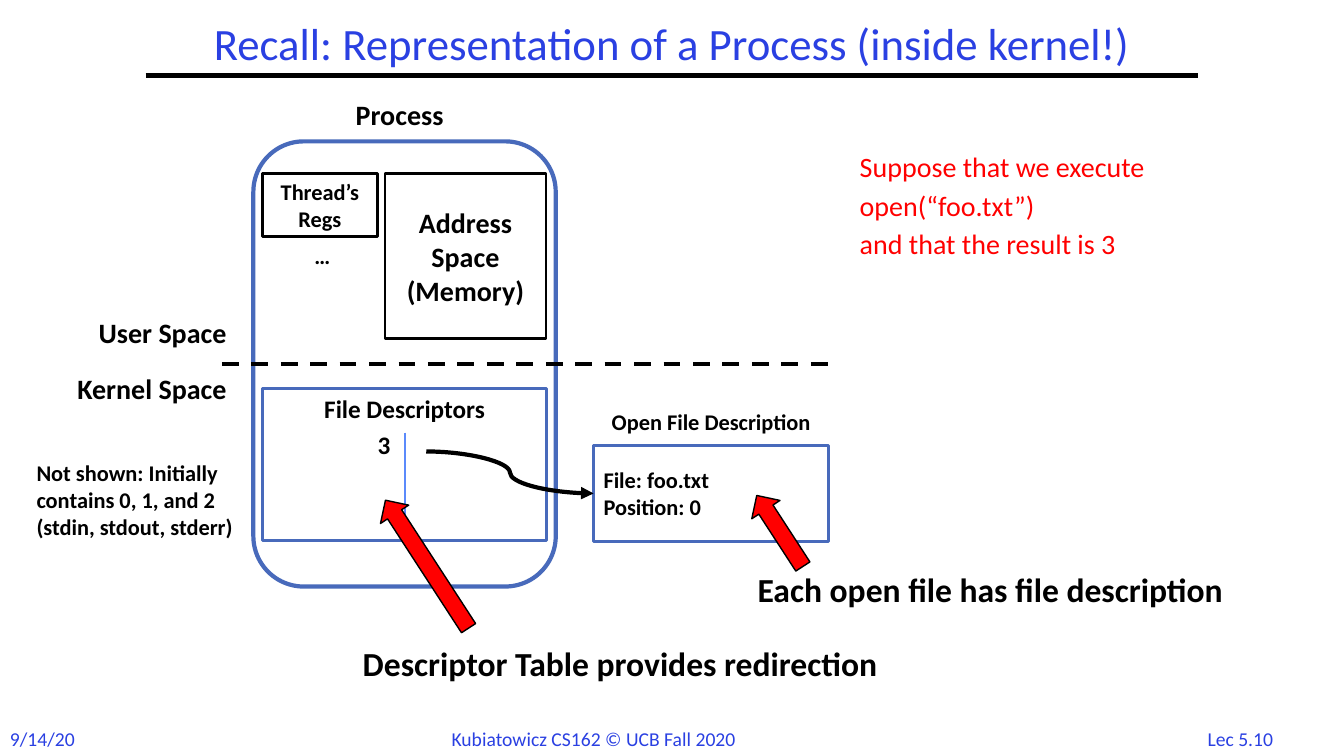
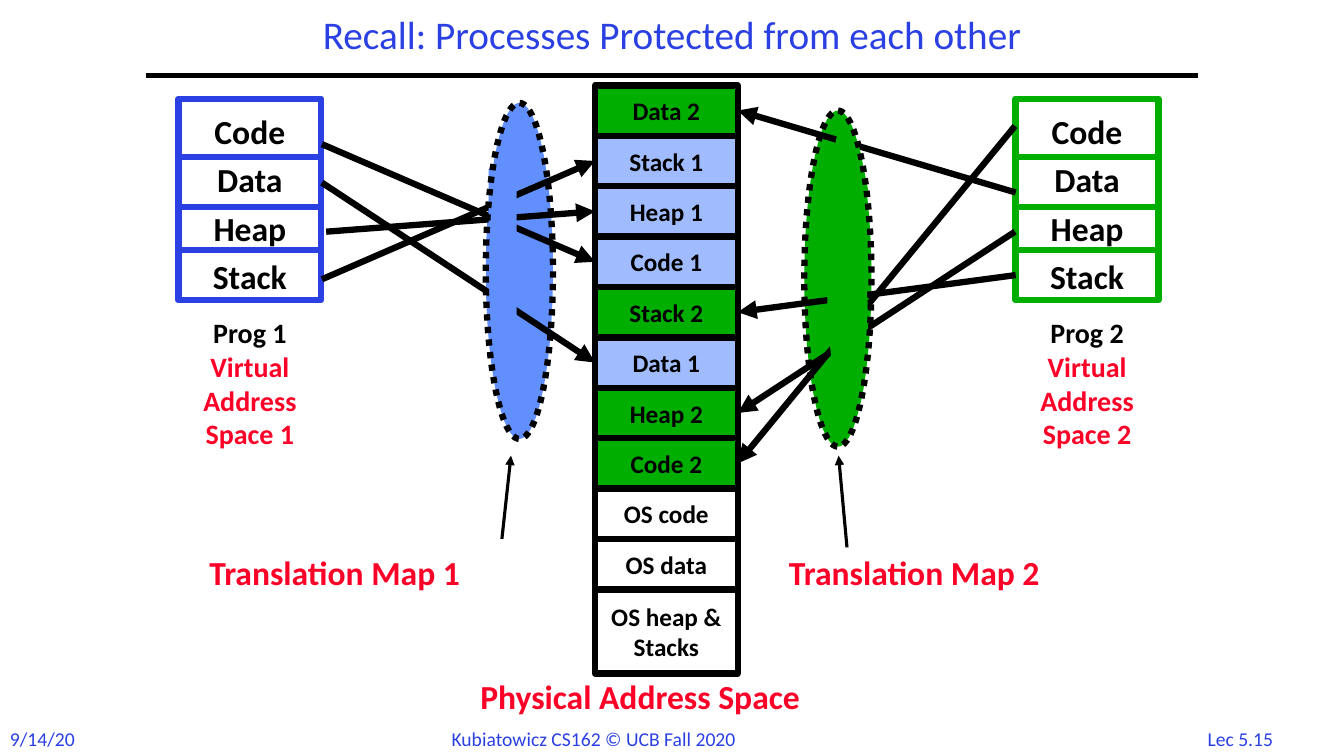
from pptx import Presentation
from pptx.dml.color import RGBColor
from pptx.enum.dml import MSO_LINE
from pptx.enum.shapes import MSO_CONNECTOR, MSO_SHAPE
from pptx.enum.text import MSO_ANCHOR, MSO_AUTO_SIZE, PP_ALIGN
from pptx.oxml.ns import qn
from pptx.util import Pt
from lxml import etree

FONT = "Calibri"
HUES = {
    "black": "000000", "white": "FFFFFF", "title": "2A40E2", "edge": "486ABB",
    "rule": "5B8AFB", "red": "FF0000", "label": "FC0128", "green": "00AE00",
    "blue": "618FFD", "pale": "A0BCFE",
}
SIDES = {"l": PP_ALIGN.LEFT, "c": PP_ALIGN.CENTER, "r": PP_ALIGN.RIGHT}


def rgb(name):
    return RGBColor.from_string(HUES[name])


def points(box):
    return [Pt(v) for v in box]


def shift(box, x, y):
    """Move a relative box to the corner x, y."""
    return (x + box[0], y + box[1], *box[2:])


# Shared building parts
def write(frame, lines, size=20, ink="black", rest=None, bold=True, side="c",
          space=None, gap=0, mid=False, wrap=True):
    """Fill a text frame; lines after the first may use the ink named by rest."""
    frame.word_wrap = wrap
    if not wrap:
        frame.auto_size = MSO_AUTO_SIZE.SHAPE_TO_FIT_TEXT
    frame.vertical_anchor = MSO_ANCHOR.MIDDLE if mid else MSO_ANCHOR.TOP
    for i, line in enumerate(lines.split("\n")):
        para = frame.paragraphs[0] if i == 0 else frame.add_paragraph()
        para.alignment = SIDES[side]
        if space:
            para.line_spacing = space
        if gap and i:
            para.space_before = Pt(gap)
        run = para.add_run()
        run.text = line
        font = run.font
        font.name, font.size, font.bold = FONT, Pt(size), bold
        font.color.rgb = rgb(rest if rest and i else ink)


def label(slide, box, lines, wrap=False, **style):
    frame = slide.shapes.add_textbox(*points(box)).text_frame
    write(frame, lines, wrap=wrap, **style)


def block(slide, kind, box, fill=None, line=None, width=2, dash=None, turn=0):
    shape = slide.shapes.add_shape(kind, *points(box))
    shape.shadow.inherit = False
    shape.rotation = turn
    if fill:
        shape.fill.solid()
        shape.fill.fore_color.rgb = rgb(fill)
    else:
        shape.fill.background()
    if line:
        shape.line.color.rgb = rgb(line)
        shape.line.width = Pt(width)
        if dash:
            shape.line.dash_style = dash
    else:
        shape.line.fill.background()
    return shape


def panel(slide, box, lines, fill="white", line="black", width=2, **style):
    shape = block(slide, MSO_SHAPE.RECTANGLE, box, fill, line, width)
    write(shape.text_frame, lines, **style)
    return shape


def wire(slide, start, end, hue="black", width=3, dash=None, arrow=False,
         kind=MSO_CONNECTOR.STRAIGHT):
    link = slide.shapes.add_connector(kind, *points(start + end))
    link.line.color.rgb = rgb(hue)
    link.line.width = Pt(width)
    if dash:
        link.line.dash_style = dash
    props = link._element.spPr
    if arrow:
        etree.SubElement(props.find(qn("a:ln")), qn("a:tailEnd"), type="triangle")
    etree.SubElement(props, qn("a:effectLst"))
    return link


def base(deck, title, box, size, space, page):
    """Add a slide with its title, rule and footer."""
    slide = deck.slides.add_slide(deck.slide_layouts[6])
    label(slide, box, title, wrap=True, size=size, ink="title", bold=False,
          space=space, mid=True)
    wire(slide, (104, 54), (856, 54))
    for spot, words, side in (
        ((0, 515.5, 61, 24.5), "9/14/20", "l"),
        ((315.5, 515.5, 247, 24.5), "Kubiatowicz CS162 © UCB Fall 2020", "l"),
        ((851, 515.5, 70, 24), f"Lec 5.{page}", "c"),
    ):
        label(slide, spot, words, size=14, ink="title", bold=False, side=side)
    return slide


# Regions of the process slide
def process(slide, box):
    x, y, _, _ = box
    block(slide, MSO_SHAPE.ROUNDED_RECTANGLE, box, line="edge", width=3)
    label(slide, shift((58, -35, 93, 32), x, y), "Process")
    panel(slide, shift((94, 23, 115, 118), x, y), "Address Space (Memory)", mid=True)
    panel(slide, shift((6.5, 23, 82, 45), x, y), "Thread’s Regs", size=16, mid=True)
    label(slide, shift((36.5, 68.5, 31, 27), x, y), "…", size=16, side="l")
    # Descriptor table
    panel(slide, shift((6.5, 176.5, 203, 108.5), x, y), "File Descriptors",
          line="edge", size=18)
    wire(slide, (x + 108, y + 208), (x + 108, y + 278.5), hue="rule", width=1.5)
    label(slide, shift((80.5, 202, 24.5, 29), x, y), "3", size=18, side="r")


def spaces(slide, box):
    """Draw the user and kernel border with a name above and below."""
    x, y, w, _ = box
    wire(slide, (x, y), (x + w, y), dash=MSO_LINE.DASH)
    label(slide, shift((-113.5, -38, 124, 32), x, y), "User Space", side="r")
    label(slide, shift((-131.5, 1.5, 142, 32), x, y), "Kernel Space", side="r")


def record(slide, box):
    x, y, w, _ = box
    panel(slide, box, "File: foo.txt\nPosition: 0", line="edge", size=16,
          side="l", mid=True)
    label(slide, (x - 7, y - 30, w + 14, 27), "Open File Description", size=16)


def remark(slide, box, words, arrow):
    label(slide, box, words, size=24, side="l")
    block(slide, MSO_SHAPE.DOWN_ARROW, arrow, "red", "black", 1, turn=147)


def recall(deck):
    slide = base(deck, "Recall: Representation of a Process (inside kernel!)",
                 (104, 12, 752, 42), 32, 0.9, 10)
    label(slide, (607, 106, 286.5, 343),
          "Suppose that we execute\nopen(“foo.txt”)\nand that the result is 3",
          wrap=True, ink="red", bold=False, side="l", space=0.9, gap=6)
    process(slide, (181, 101, 216, 318))
    spaces(slide, (158.5, 260, 433.5, 0))
    label(slide, (19, 324.5, 159, 85),
          "Not shown: Initially contains 0, 1, and 2 (stdin, stdout, stderr)",
          wrap=True, size=16, side="l")
    record(slide, (424, 318, 168, 69))
    wire(slide, (304.5, 322.5), (424, 352.5), arrow=True, kind=MSO_CONNECTOR.CURVE)
    remark(slide, (252, 456, 443, 36), "Descriptor Table provides redirection",
           (293, 348.5, 24, 109))
    remark(slide, (534, 403, 406, 36), "Each open file has file description",
           (545, 349, 24, 60.5))


# Regions of the protection slide
def program(slide, box, num, hue):
    x, y, w, _ = box
    panel(slide, box, "Code\nData\nHeap\nStack", line=hue, width=4.5,
          size=24, space=1.2, mid=True)
    for drop in (41.5, 77.5, 108):
        wire(slide, (x, y + drop), (x + w, y + drop), hue=hue, width=4.5)
    label(slide, shift((3.5, 151.5, 95, 104), x, y),
          f"Prog {num}\nVirtual\nAddress\nSpace {num}", rest="label")


def memory(slide, box):
    """Stack the cells of physical memory and return them by name."""
    x, y, w, step = box
    hues = {"1": "pale", "2": "green"}
    names = ("Data 2", "Stack 1", "Heap 1", "Code 1", "Stack 2", "Data 1",
             "Heap 2", "Code 2", "OS code", "OS data", "OS heap &\nStacks")
    cells = {}
    for i, name in enumerate(names):
        high = 60 if "\n" in name else step
        cells[name] = panel(slide, (x, y + i * step, w, high), name,
                            fill=hues.get(name[-1], "white"), width=4.5,
                            size=18, mid=True)
    return cells


def links(slide, cells, num, starts, site):
    """Join each program part to its memory cell."""
    for part, start in starts.items():
        link = wire(slide, start, start, width=4.5, arrow=True)
        link.end_connect(cells[f"{part} {num}"], site)


def lens(slide, box, hue, masks):
    """Hide the wires inside a map, then draw its dotted edge."""
    for kind, spot, turn in masks:
        block(slide, kind, shift(spot, *box[:2]), hue, turn=turn)
    block(slide, MSO_SHAPE.OVAL, box, line="black", width=4.5,
          dash=MSO_LINE.ROUND_DOT)


def protect(deck):
    slide = base(deck, "Recall: Processes Protected from each other",
                 (66, 6, 828, 42), 28, 0.85, 15)
    rect, oval = MSO_SHAPE.RECTANGLE, MSO_SHAPE.OVAL
    maps = (
        ((347, 73.5, 48, 240), "blue", [(rect, (2, 47, 20, 108), 0)]),
        ((574.5, 79, 48, 240), "green", [
            (rect, (30.5, 24, 12, 36), 348.5),
            (oval, (16, 7.5, 26.5, 204), 0),
            (oval, (22.5, 86.5, 23, 132), 0)]),
    )
    for box, hue, _ in maps:
        block(slide, oval, box, hue)
    program(slide, (127.5, 70.5, 102, 144), 1, "title")
    program(slide, (725.5, 70.5, 102, 144), 2, "green")
    cells = memory(slide, (425, 61, 102, 36))
    links(slide, cells, 1, {"Code": (230, 103), "Data": (230, 130.5),
                            "Heap": (233, 165.5), "Stack": (230, 199.5)}, 1)
    links(slide, cells, 2, {"Code": (725, 90), "Data": (725.5, 137.5),
                            "Heap": (725, 165.5), "Stack": (725.5, 196.5)}, 3)
    for view in maps:
        lens(slide, *view)
    # Names and pointers
    for x, y, words in ((142.5, 391, "Translation Map 1"),
                        (556.5, 391, "Translation Map 2"),
                        (336, 479.5, "Physical Address Space")):
        label(slide, (x, y, 294 if y > 400 else 227, 36), words, size=24,
              ink="label", side="l")
    for start, end in (((358.5, 385), (365, 325.5)), ((605, 391), (599, 325.5))):
        wire(slide, start, end, width=2.25, arrow=True)


def main():
    deck = Presentation()
    deck.slide_width, deck.slide_height = Pt(960), Pt(540)
    recall(deck)
    protect(deck)
    deck.save("out.pptx")


if __name__ == "__main__":
    main()
